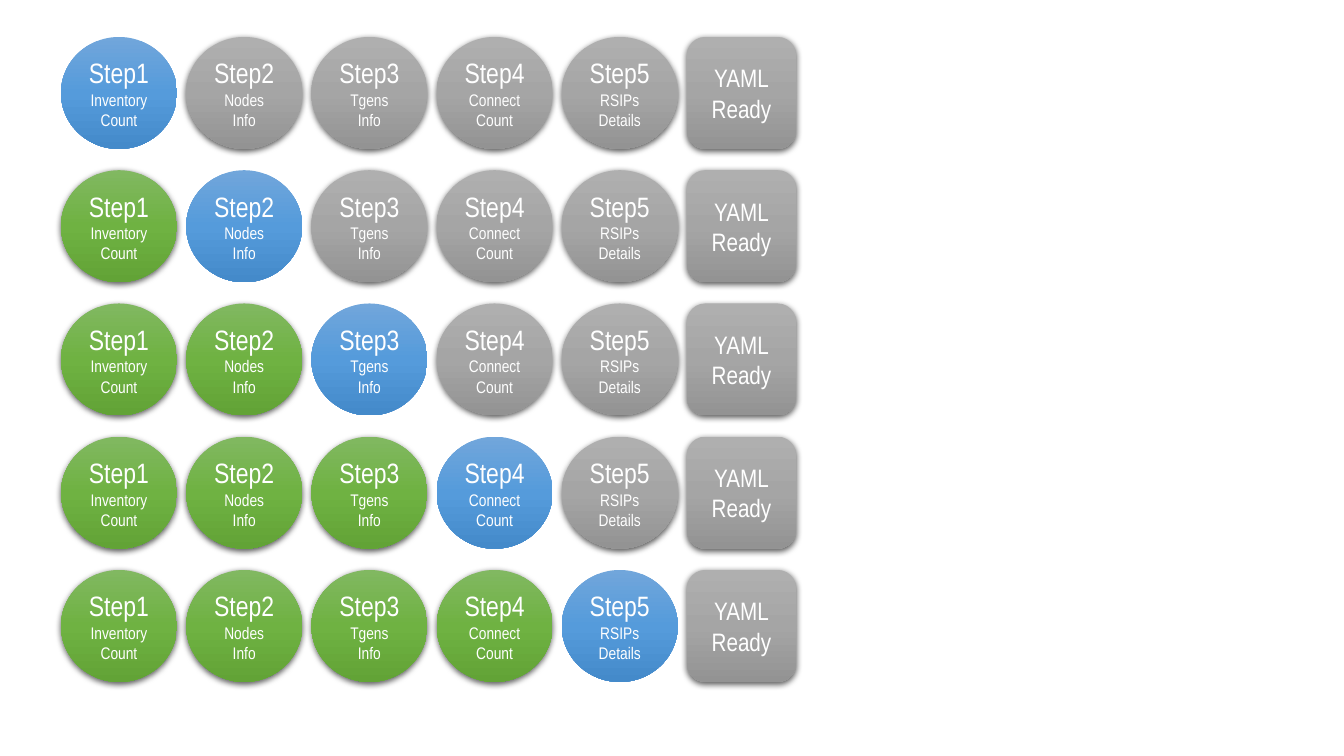
from lxml import etree
from pptx import Presentation
from pptx.dml.color import RGBColor
from pptx.enum import shapes, text
from pptx.oxml.ns import qn
from pptx.util import Pt

STEPS = [
    ("Step1", "Inventory", "Count"),
    ("Step2", "Nodes", "Info"),
    ("Step3", "Tgens", "Info"),
    ("Step4", "Connect", "Count"),
    ("Step5", "RSIPs", "Details"),
]
READY = ("YAML", "Ready")

THEME = {
    "font": "Arial Narrow",
    "ink": RGBColor.from_string("FFFFFF"),
    "step_sizes": (20, 12, 12),
    "ready_sizes": (18, 18),
    "done": ("81B861", "6FB242", "62A336"),
    "current": ("71A6DB", "559BDB", "448ACA"),
    "pending": ("AFAFAF", "A5A5A5", "939393"),
    "shadow": "000000",
}

PX = 914400 / 100.8
LEFT, READY_LEFT = 61, 687
TOP, LAST_TOP = 37, 570
STEP_WIDTH, READY_WIDTH, HEIGHT = 116, 109, 112
COLUMN_PITCH = (READY_LEFT - LEFT) / len(STEPS)
ROW_PITCH = (LAST_TOP - TOP) / (len(STEPS) - 1)


def px(length):
    return round(length * PX)


def add_node(parent, tag, **attributes):
    node = etree.SubElement(parent, qn(tag))
    for key, value in attributes.items():
        node.set(key, str(value))
    return node


def shade(badge, state):
    badge.fill.gradient()
    badge.fill.gradient_angle = 270
    stops = badge._element.spPr.find(qn("a:gradFill")).find(qn("a:gsLst"))
    for stop in list(stops):
        stops.remove(stop)
    for position, color in zip((0, 50000, 100000), THEME[state]):
        stop = add_node(stops, "a:gs", pos=position)
        add_node(stop, "a:srgbClr", val=color)


def cast_shadow(badge):
    effects = badge._element.spPr.find(qn("a:effectLst"))
    shadow = add_node(effects, "a:outerShdw", blurRad=Pt(4.5), dist=Pt(1.5),
                      dir=5400000, algn="ctr", rotWithShape=0)
    color = add_node(shadow, "a:srgbClr", val=THEME["shadow"])
    add_node(color, "a:alpha", val=63000)


def add_badge(kind, left, top, width, state, lines, sizes):
    badge = slide.shapes.add_shape(kind, px(left), px(top), px(width), px(HEIGHT))
    badge.line.fill.background()
    shade(badge, state)
    badge.shadow.inherit = False
    if state != "current":
        cast_shadow(badge)
    frame = badge.text_frame
    frame.word_wrap = True
    frame.vertical_anchor = text.MSO_ANCHOR.MIDDLE
    for index, (line, size) in enumerate(zip(lines, sizes)):
        paragraph = frame.add_paragraph() if index else frame.paragraphs[0]
        paragraph.alignment = text.PP_ALIGN.CENTER
        run = paragraph.add_run()
        run.text = line
        run.font.name = THEME["font"]
        run.font.size = Pt(size)
        run.font.color.rgb = THEME["ink"]


deck = Presentation()
deck.slide_width, deck.slide_height = px(1344), px(756)
slide = deck.slides.add_slide(deck.slide_layouts[6])

for current in range(len(STEPS)):
    top = TOP + current * ROW_PITCH
    for number, step in enumerate(STEPS):
        state = ("done" if number < current
                 else "current" if number == current else "pending")
        add_badge(shapes.MSO_SHAPE.OVAL, LEFT + number * COLUMN_PITCH, top,
                  STEP_WIDTH, state, step, THEME["step_sizes"])
    add_badge(shapes.MSO_SHAPE.ROUNDED_RECTANGLE, READY_LEFT, top,
              READY_WIDTH, "pending", READY, THEME["ready_sizes"])

deck.save("out.pptx")
